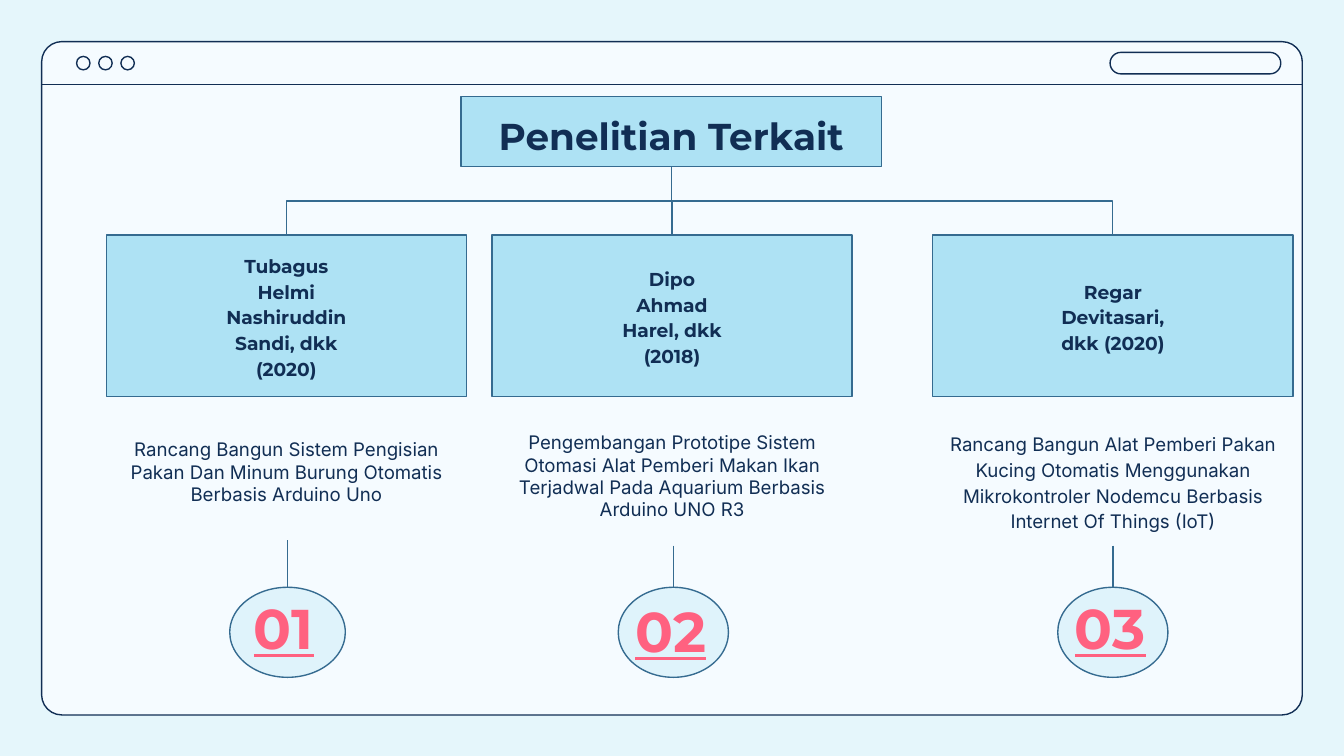
"""Builds the "Penelitian Terkait" slide: a tree of three related studies in a browser window."""
from lxml import etree
from pptx import Presentation
from pptx import util as u
from pptx.dml.color import RGBColor
from pptx.enum import shapes, text
from pptx.oxml.ns import qn

COLORS = {
    "window": "F5FBFF",
    "navy": "112E54",
    "sky": "AEE2F4",
    "steel": "356B90",
    "pink": "FF6180",
}
HEADING = {"name": "Montserrat", "size": u.Pt(20), "bold": True}
AUTHOR = {"name": "Montserrat", "size": u.Pt(10), "bold": True}
TOPIC = {"name": "Inter", "size": u.Pt(10)}
NUMBER = {"name": "Montserrat", "size": u.Pt(30), "bold": True, "underline": True}
PALE = 31
BOX_WIDTH, BOX_TOP, BOX_HEIGHT = 2.68, 1.75, 1.2
TITLE_BOX = (3.43, 0.72, 3.13, 0.52)
STUDIES = [
    {
        "left": 0.79,
        "authors": ["Tubagus", "Helmi", "Nashiruddin", "Sandi, dkk", "(2020)"],
        "topic": "Rancang Bangun Sistem Pengisian Pakan Dan Minum Burung Otomatis "
                 "Berbasis Arduino Uno",
        "topic_top": 3.02, "spacing": 1.0,
        "circle": (1.71, 4.37, 0.86, 0.67), "stem_top": 4.02,
        "number": "01", "number_box": (1.79, 4.39, 0.67, 0.63),
    },
    {
        "left": 3.66,
        "authors": ["Dipo", "Ahmad", "Harel, dkk", "(2018)"],
        "topic": "Pengembangan Prototipe Sistem Otomasi Alat Pemberi Makan Ikan "
                 "Terjadwal Pada Aquarium Berbasis Arduino UNO R3",
        "topic_top": 3.05, "spacing": 1.0,
        "circle": (4.6, 4.37, 0.82, 0.67), "stem_top": 4.06,
        "number": "02", "number_box": (4.63, 4.41, 0.75, 0.63),
    },
    {
        "left": 6.94,
        "authors": ["Regar", "Devitasari,", "dkk (2020)"],
        "topic": "Rancang Bangun Alat Pemberi Pakan Kucing Otomatis Menggunakan "
                 "Mikrokontroler Nodemcu Berbasis Internet Of Things (IoT)",
        "topic_top": 3.09, "spacing": 1.15,
        "circle": (7.87, 4.37, 0.82, 0.67), "stem_top": 4.06,
        "number": "03", "number_box": (7.9, 4.39, 0.75, 0.63),
    },
]


def rgb(color):
    """Return the named colour."""
    return RGBColor.from_string(COLORS[color])


def inches(*lengths):
    """Return the lengths as Inches."""
    return [u.Inches(length) for length in lengths]


def paint(fill, color, opacity=100):
    """Make the fill solid, see-through when the opacity is below 100 percent."""
    fill.solid()
    fill.fore_color.rgb = rgb(color)
    if opacity < 100:
        tint = fill._xPr.find(f"{qn('a:solidFill')}/{qn('a:srgbClr')}")
        etree.SubElement(tint, qn("a:alpha"), val=str(opacity * 1000))


def write(shape, lines, style, color="navy", spacing=1.0,
          align=text.PP_ALIGN.CENTER, anchor=text.MSO_ANCHOR.MIDDLE):
    """Put one paragraph per line into the shape."""
    frame = shape.text_frame
    frame_format = {"word_wrap": True, "vertical_anchor": anchor}
    for side in ("left", "top", "right", "bottom"):
        frame_format[f"margin_{side}"] = u.Inches(0.1)
    for name, value in frame_format.items():
        setattr(frame, name, value)
    frame.text = "\n".join(lines)
    for paragraph in frame.paragraphs:
        paragraph.alignment = align
        paragraph.line_spacing = spacing
        font = paragraph.runs[0].font
        font.color.rgb = rgb(color)
        for name, value in style.items():
            setattr(font, name, value)


def add_figure(slide, kind, place, line, fill=None, opacity=100, rounding=None):
    """Add an outlined preset shape, filled if a fill is named."""
    figure = slide.shapes.add_shape(kind, *inches(*place))
    figure.shadow.inherit = False
    figure.line.color.rgb = rgb(line)
    figure.line.width = u.Pt(0.75)
    if rounding is not None:
        figure.adjustments[0] = rounding
    if fill is None:
        figure.fill.background()
    else:
        paint(figure.fill, fill, opacity)
    return figure


def add_line(slide, start, end, color, kind=shapes.MSO_CONNECTOR.STRAIGHT):
    """Add a thin connector without a shadow."""
    line = slide.shapes.add_connector(kind, *inches(*start, *end))
    line.line.color.rgb = rgb(color)
    line.line.width = u.Pt(0.75)
    etree.SubElement(line._element.spPr, qn("a:effectLst"))
    return line


def add_branch(slide, parent, child):
    """Join the parent's bottom to the child's top by a vertical elbow."""
    branch = add_line(slide, (0, 0), (1, 1), "steel", shapes.MSO_CONNECTOR.ELBOW)
    branch.begin_connect(parent, 2)
    branch.end_connect(child, 0)
    start_x = parent.left + parent.width // 2
    end_x = child.left + child.width // 2
    start_y, end_y = parent.top + parent.height, child.top
    drop, reach = end_y - start_y, abs(end_x - start_x)
    frame = {
        "left": (start_x + end_x - drop) // 2,
        "top": (start_y + end_y - reach) // 2,
        "width": drop,
        "height": reach,
    }
    for name, value in frame.items():
        setattr(branch, name, value)
    leftward = end_x < start_x
    turn = {"rot": "5400000" if leftward else "16200000",
            "flipH": "0" if leftward else "1", "flipV": "0"}
    for name, value in turn.items():
        branch._element.spPr.xfrm.set(name, value)


def add_window(slide):
    """Draw the browser window with its dots, address bar and rule."""
    rounded, oval = shapes.MSO_SHAPE.ROUNDED_RECTANGLE, shapes.MSO_SHAPE.OVAL
    add_figure(slide, rounded, (0.31, 0.31, 9.38, 5.01), "navy", "window", rounding=0.03)
    for dot in range(3):
        add_figure(slide, oval, (0.57 + dot * 0.33 / 2, 0.42, 0.1, 0.1), "navy")
    add_figure(slide, rounded, (8.26, 0.39, 1.27, 0.16), "navy", rounding=0.5)
    add_line(slide, (0.31, 0.63), (9.69, 0.63), "navy")


def add_study(slide, heading, study):
    """Add one study: branch, author box, topic, stem and numbered circle."""
    author_box = add_figure(slide, shapes.MSO_SHAPE.RECTANGLE,
                            (study["left"], BOX_TOP, BOX_WIDTH, BOX_HEIGHT), "steel", "sky")
    write(author_box, study["authors"], AUTHOR, spacing=1.15)
    add_branch(slide, heading, author_box)

    topic = slide.shapes.add_textbox(
        *inches(study["left"], study["topic_top"], BOX_WIDTH, 0.98))
    write(topic, [study["topic"]], TOPIC, spacing=study["spacing"])

    circle = add_figure(slide, shapes.MSO_SHAPE.OVAL, study["circle"], "steel", "sky", PALE)
    left, top, width, _ = study["circle"]
    middle = left + width / 2
    stem = add_line(slide, (middle, study["stem_top"]), (middle, top), "steel")
    stem.end_connect(circle, 0)

    number = slide.shapes.add_textbox(*inches(*study["number_box"]))
    write(number, [study["number"]], NUMBER, "pink",
          align=text.PP_ALIGN.LEFT, anchor=text.MSO_ANCHOR.BOTTOM)


def main():
    """Build and save the slide."""
    deck = Presentation()
    deck.slide_width, deck.slide_height = inches(10, 10 * 9 / 16)
    slide = deck.slides.add_slide(deck.slide_layouts[6])
    paint(slide.background.fill, "sky", PALE)
    add_window(slide)
    heading = add_figure(slide, shapes.MSO_SHAPE.RECTANGLE, TITLE_BOX, "steel", "sky")
    write(heading, ["Penelitian Terkait"], HEADING, spacing=1.15)
    for study in STUDIES:
        add_study(slide, heading, study)
    deck.save("out.pptx")


if __name__ == "__main__":
    main()
